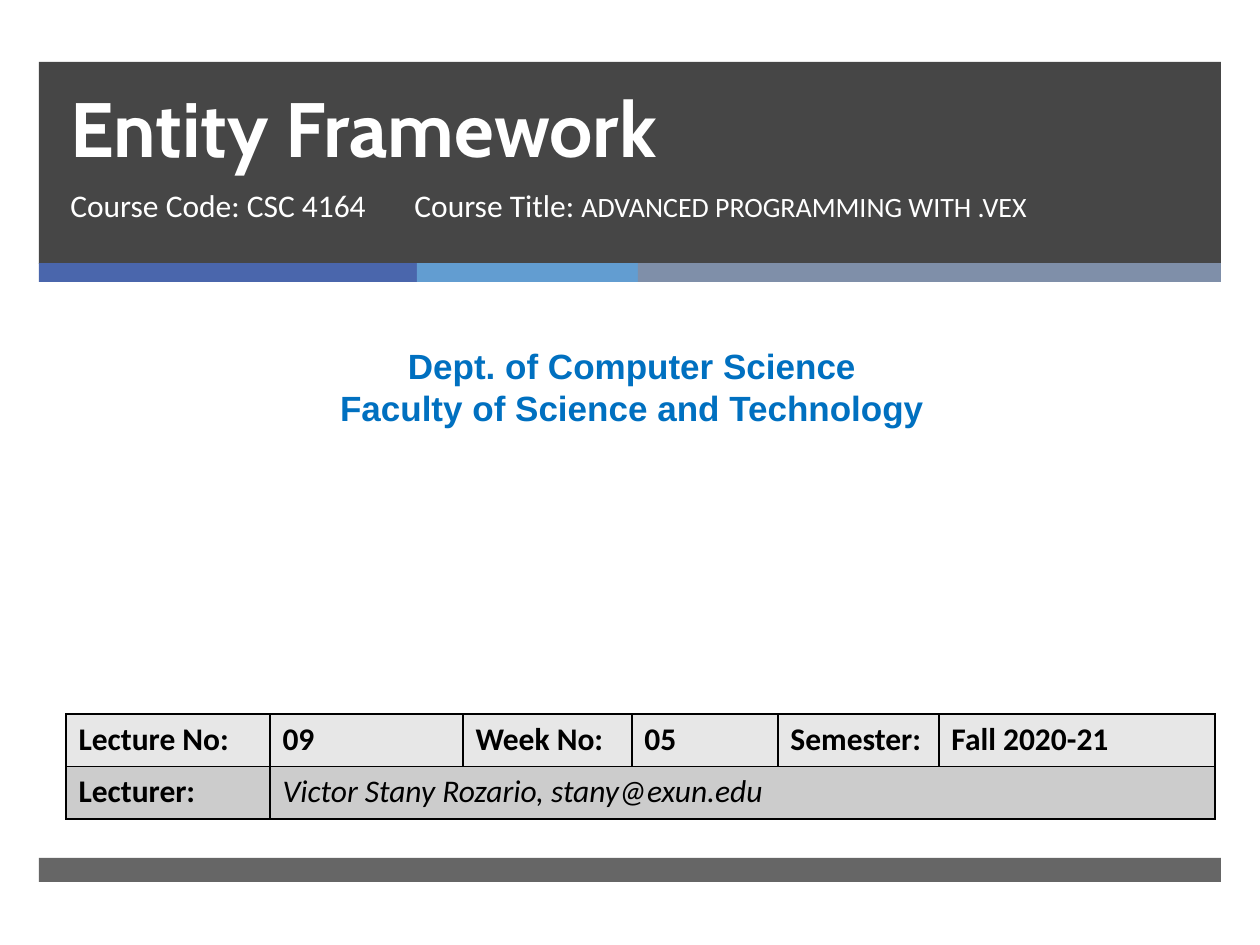
from typing import NamedTuple

from lxml import etree
from pptx import Presentation
from pptx import util as u
from pptx.dml.color import RGBColor
from pptx.enum import shapes, text
from pptx.oxml import ns

PX_PER_INCH = 126

WHITE = RGBColor(0xFF, 0xFF, 0xFF)
BLACK = RGBColor(0x00, 0x00, 0x00)
CHARCOAL = RGBColor(0x26, 0x26, 0x26)
INDIGO = RGBColor(0x4A, 0x66, 0xAC)
SKY = RGBColor(0x62, 0x9D, 0xD1)
SLATE = RGBColor(0x7F, 0x8F, 0xA9)
DEPT_BLUE = RGBColor(0x00, 0x70, 0xC0)
ROW_LIGHT = RGBColor(0xE7, 0xE7, 0xE7)
ROW_DARK = RGBColor(0xCC, 0xCC, 0xCC)


class Box(NamedTuple):
    left: int
    top: int
    width: int
    height: int


class Band(NamedTuple):
    box: Box
    color: RGBColor
    opacity: int = 100


class Style(NamedTuple):
    size: int
    font: str
    color: RGBColor
    bold: bool = False
    italic: bool = False


class Label(NamedTuple):
    box: Box
    lines: list[list[tuple[str, int]]]  # runs of (wording, size) per line
    style: Style
    align: text.PP_ALIGN = text.PP_ALIGN.LEFT
    anchor: text.MSO_ANCHOR = text.MSO_ANCHOR.TOP
    spacing: int | None = None


def px(length: int) -> int:
    return round(length * u.Inches(1) / PX_PER_INCH)


def emu(box: Box) -> list[int]:
    return [px(length) for length in box]


def apply_style(paragraph, style: Style) -> None:
    font = paragraph.font
    font.size, font.name = u.Pt(style.size), style.font
    font.bold, font.italic = style.bold, style.italic
    font.color.rgb = style.color


def draw_band(slide, band: Band) -> None:
    bar = slide.shapes.add_shape(shapes.MSO_SHAPE.RECTANGLE, *emu(band.box))
    bar.shadow.inherit = False
    bar.line.fill.background()
    bar.fill.solid()
    bar.fill.fore_color.rgb = band.color
    if band.opacity < 100:
        color = bar.fill._xPr.find(".//" + ns.qn("a:srgbClr"))
        etree.SubElement(color, ns.qn("a:alpha"), val=str(band.opacity * 1000))


def draw_label(slide, label: Label) -> None:
    frame = slide.shapes.add_textbox(*emu(label.box)).text_frame
    frame.word_wrap = True
    frame.vertical_anchor = label.anchor
    for index, line in enumerate(label.lines):
        paragraph = frame.add_paragraph() if index else frame.paragraphs[0]
        paragraph.alignment = label.align
        if label.spacing:
            paragraph.line_spacing = u.Pt(label.spacing)
        apply_style(paragraph, label.style)
        for wording, size in line:
            run = paragraph.add_run()
            run.text = wording
            if size != label.style.size:
                run.font.size = u.Pt(size)


def outline_cell(cell, color: RGBColor) -> None:
    properties = cell._tc.get_or_add_tcPr()
    for index, side in enumerate(("lnL", "lnR", "lnT", "lnB")):
        line = etree.Element(ns.qn(f"a:{side}"), w=str(u.Pt(1)))
        fill = etree.SubElement(line, ns.qn("a:solidFill"))
        etree.SubElement(fill, ns.qn("a:srgbClr"), val=str(color))
        properties.insert(index, line)


def draw_lecture_table(slide, box: Box, widths: list[int],
                       rows: list[list[str]], fills: list[RGBColor]) -> None:
    table = slide.shapes.add_table(len(rows), len(widths), *emu(box)).table
    for column, width in zip(table.columns, widths):
        column.width = px(width)
    for r, (row, fill) in enumerate(zip(rows, fills)):
        for c in range(len(widths)):
            cell = table.cell(r, c)
            cell.fill.solid()
            cell.fill.fore_color.rgb = fill
            outline_cell(cell, BLACK)
            if c < len(row):
                cell.text = row[c]
                is_lecturer = r == 1 and c == 1
                apply_style(cell.text_frame.paragraphs[0],
                            Style(18, "Calibri", BLACK, not is_lecturer, is_lecturer))
    table.cell(1, 1).merge(table.cell(1, len(widths) - 1))


BANDS = [
    Band(Box(39, 62, 1182, 202), CHARCOAL, 85),
    Band(Box(39, 263, 378, 19), INDIGO),
    Band(Box(417, 263, 221, 19), SKY),
    Band(Box(638, 263, 583, 19), SLATE),
    Band(Box(39, 858, 1182, 24), CHARCOAL, 70),
]

COURSE = Style(18, "Calibri", WHITE)
LABELS = [
    Label(Box(58, 62, 1056, 117), [[("Entity Framework", 44)]],
          Style(44, "Cabin", WHITE, bold=True),
          anchor=text.MSO_ANCHOR.BOTTOM, spacing=46),
    Label(Box(58, 180, 392, 97), [[("Course Code: CSC 4164", 18)]], COURSE),
    Label(Box(402, 180, 699, 98),
          [[("Course Title: ", 18), ("ADVANCED PROGRAMMING WITH .VEX", 16)]], COURSE),
    Label(Box(10, 338, 1244, 97),
          [[("Dept. of Computer Science", 20)],
           [("Faculty of Science and Technology", 20)]],
          Style(20, "Arial", DEPT_BLUE, bold=True), text.PP_ALIGN.CENTER),
]

LECTURE_ROWS = [
    ["Lecture No:", "09", "Week No:", "05", "Semester:", "Fall 2020-21"],
    ["Lecturer:", "Victor Stany Rozario, stany@exun.edu"],
]


def main() -> None:
    deck = Presentation()
    deck.slide_width, deck.slide_height = px(1260), px(945)
    slide = deck.slides.add_slide(deck.slide_layouts[6])

    # Header, accent strip and footer
    for band in BANDS:
        draw_band(slide, band)

    # Title, course and department
    for label in LABELS:
        draw_label(slide, label)

    # Lecture details
    draw_lecture_table(slide, Box(66, 714, 1149, 105),
                       [204, 193, 169, 146, 161, 276],
                       LECTURE_ROWS, [ROW_LIGHT, ROW_DARK])

    deck.save("out.pptx")


if __name__ == "__main__":
    main()
